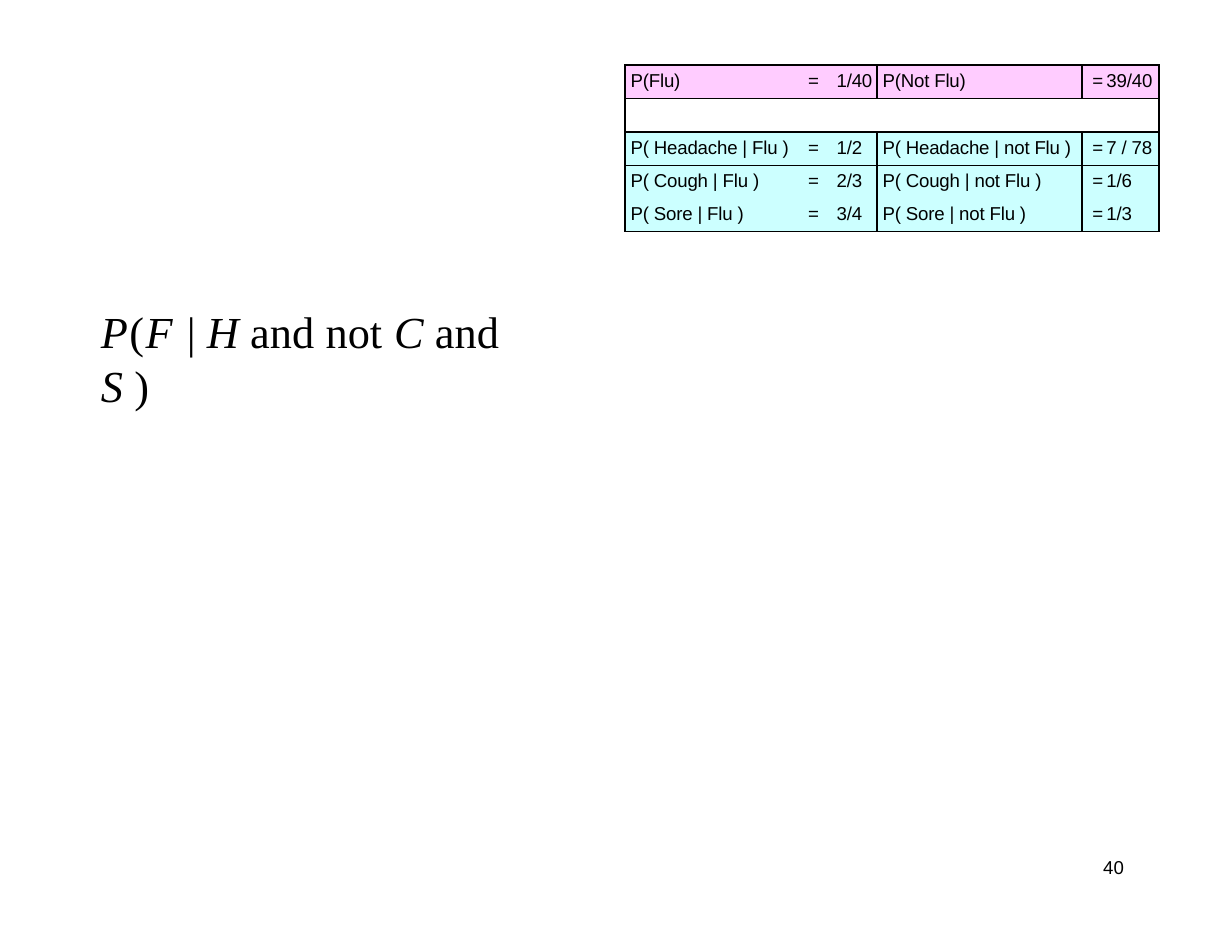
from lxml import etree
from pptx import Presentation
from pptx.dml.color import RGBColor
from pptx.enum import text
from pptx.oxml import ns
from pptx.util import Inches, Pt

COLORS = {"ink": "000000", "prior": "FFCCFF", "likelihood": "CCFFFF"}
COLUMN_WIDTHS = [1.56, 0.25, 0.44, 1.83, 0.19, 0.5]
ROW_HEIGHTS = [0.3, 0.3, 0.3, 0.3, 0.29]
INDENTS = [0.05, 0, 0.08, 0.05, 0, 0.03]
ALIGNMENTS = [text.PP_ALIGN.LEFT, text.PP_ALIGN.CENTER, text.PP_ALIGN.LEFT,
              text.PP_ALIGN.LEFT, text.PP_ALIGN.RIGHT, text.PP_ALIGN.LEFT]
PROBABILITIES = [
    ("P(Flu)", "1/40", "P(Not Flu)", "39/40"),
    None,
    ("P( Headache | Flu )", "1/2", "P( Headache | not Flu )", "7 / 78"),
    ("P( Cough | Flu )", "2/3", "P( Cough | not Flu )", "1/6"),
    ("P( Sore | Flu )", "3/4", "P( Sore | not Flu )", "1/3"),
]
QUERY = [("P", True, 100), ("(", False, 100), ("F ", True, 100),
         ("| ", False, 0), ("H ", True, 10), ("and not ", False, 10),
         ("C ", True, 10), ("and ", False, 10), ("S ", True, 10),
         (")", False, 10)]


def style_font(font, name, size):
    """Set the typeface, size and ink colour of a font."""
    font.name = name
    font.size = Pt(size)
    font.color.rgb = RGBColor.from_string(COLORS["ink"])


def set_indent(para, inches):
    """Set the left margin of a paragraph."""
    properties = para._p.get_or_add_pPr()
    properties.set("marL", str(Inches(inches)))
    properties.set("indent", "0")


def set_margins(holder, top):
    """Clear the margins of a frame or cell except the top one."""
    holder.margin_left = holder.margin_right = holder.margin_bottom = 0
    holder.margin_top = Inches(top)


def add_query_title(page):
    """Place the conditional probability in the title."""
    title = page.shapes.title
    title.left, title.top = Inches(0.89), Inches(2.7)
    title.width, title.height = Inches(4.01), Inches(0.51)
    frame = title.text_frame
    set_margins(frame, 0.02)
    frame.word_wrap = True
    frame.vertical_anchor = text.MSO_ANCHOR.TOP
    frame.auto_size = text.MSO_AUTO_SIZE.SHAPE_TO_FIT_TEXT
    para = frame.paragraphs[0]
    para.alignment = text.PP_ALIGN.LEFT
    para.space_before = Pt(1.2)
    set_indent(para, 0.01)
    style_font(para.font, "Times New Roman", 28.5)
    for words, italic, spacing in QUERY:
        span = para.add_run()
        span.text = words
        span.font.italic = italic
        span._r.get_or_add_rPr().set("spc", str(spacing))


def set_borders(cell, sides):
    """Draw the named sides of a cell and hide the others."""
    properties = cell._tc.get_or_add_tcPr()
    for side in "LRTB":
        line = etree.SubElement(properties, ns.qn(f"a:ln{side}"), w=str(Pt(1)))
        if side in sides:
            fill = etree.SubElement(line, ns.qn("a:solidFill"))
            etree.SubElement(fill, ns.qn("a:srgbClr"), val=COLORS["ink"])
        else:
            etree.SubElement(line, ns.qn("a:noFill"))


def border_sides(row, column):
    """Return the sides that are ruled at a grid position."""
    if row == 1:
        return "LRTB"
    sides = "L" if column in (0, 3, 4) else ""
    sides += "R" if column in (2, 3, 5) else ""
    sides += "T" if row < 4 else ""
    return sides + ("B" if row != 3 else "")


def fill_cell(cell, words, row, column):
    """Write and format one cell of the probability table."""
    set_margins(cell, 0.05 if row < 3 else 0.04)
    set_borders(cell, border_sides(row, column))
    if row == 1:
        cell.fill.background()
    else:
        color = COLORS["prior" if row == 0 else "likelihood"]
        cell.fill.solid()
        cell.fill.fore_color.rgb = RGBColor.from_string(color)
    para = cell.text_frame.paragraphs[0]
    para.alignment = ALIGNMENTS[column]
    set_indent(para, INDENTS[column])
    style_font(para.font, "Arial", 12)
    if words:
        span = para.add_run()
        span.text = words
        if words != "=":
            span._r.get_or_add_rPr().set("spc", "-10")


def add_probability_table(page):
    """Add the table of priors and likelihoods."""
    table = page.shapes.add_table(
        len(ROW_HEIGHTS), len(COLUMN_WIDTHS), Inches(5.58), Inches(0.58),
        Inches(sum(COLUMN_WIDTHS)), Inches(sum(ROW_HEIGHTS))).table
    table.first_row = table.horz_banding = False
    for column, width in zip(table.columns, COLUMN_WIDTHS):
        column.width = Inches(width)
    for row, height in zip(table.rows, ROW_HEIGHTS):
        row.height = Inches(height)
    for row, entry in enumerate(PROBABILITIES):
        if entry:
            flu, flu_value, other, other_value = entry
            words = [flu, "=", flu_value, other, "=", other_value]
        else:
            words = [""] * len(COLUMN_WIDTHS)
            table.cell(row, 0).merge(table.cell(row, len(words) - 1))
        for column, content in enumerate(words):
            fill_cell(table.cell(row, column), content, row, column)


def add_page_number(page, number):
    """Add the page number at the lower right."""
    box = page.shapes.add_textbox(Inches(9.82), Inches(7.64),
                                  Inches(0.24), Inches(0.21))
    frame = box.text_frame
    set_margins(frame, 0)
    frame.word_wrap = True
    para = frame.paragraphs[0]
    para.text = number
    para.line_spacing = Pt(14.2)
    set_indent(para, 0.03)
    style_font(para.font, "Arial", 12)


def main():
    """Build and save the deck."""
    deck = Presentation()
    deck.slide_width, deck.slide_height = Inches(11), Inches(8.5)
    page = deck.slides.add_slide(deck.slide_layouts[5])
    add_page_number(page, "40")
    add_query_title(page)
    add_probability_table(page)
    deck.save("out.pptx")


if __name__ == "__main__":
    main()
